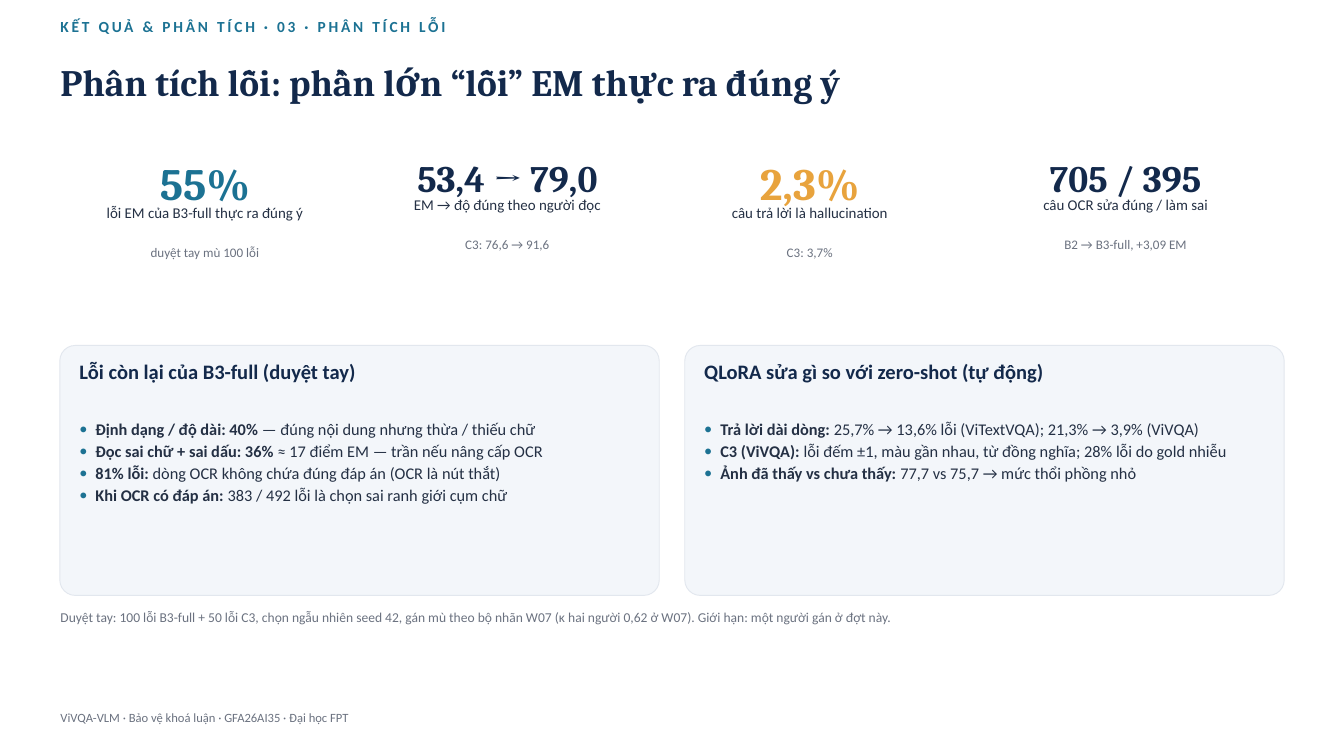
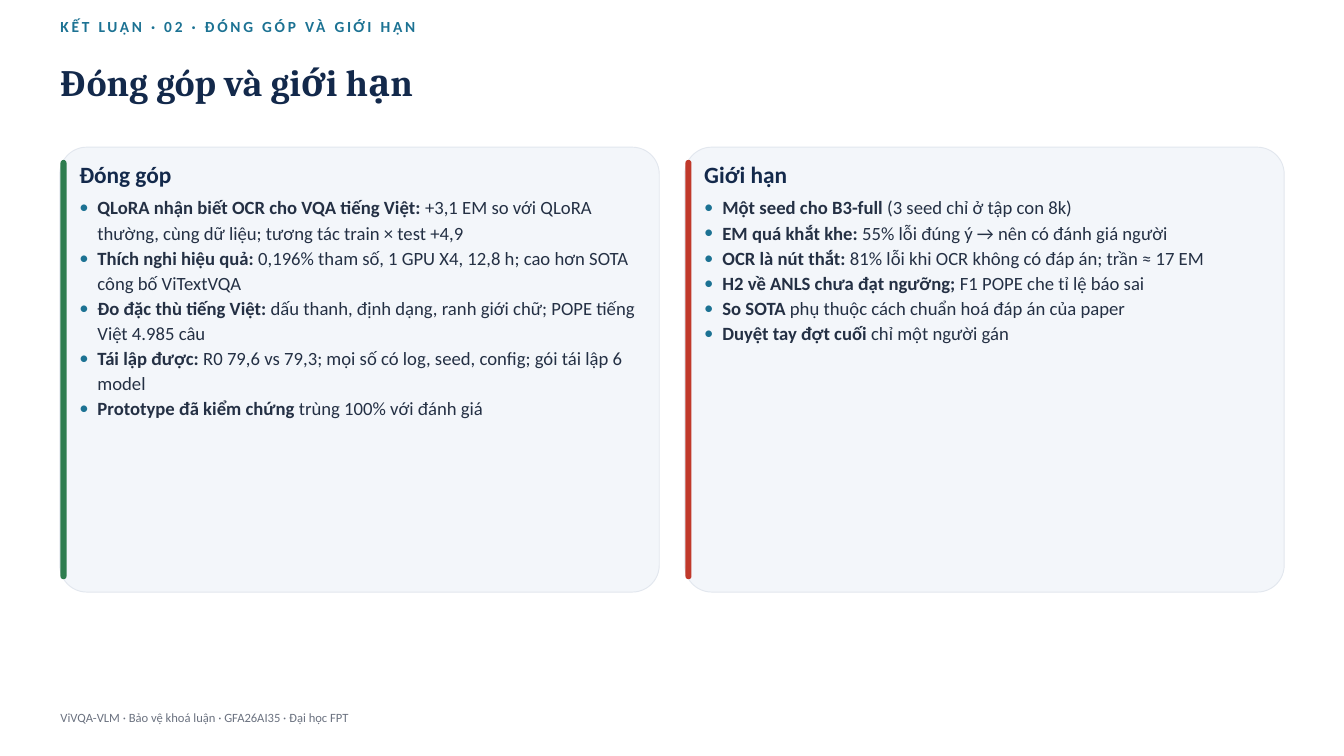
from lxml.etree import SubElement
from pptx import Presentation
from pptx.dml.color import RGBColor
from pptx.enum.shapes import MSO_SHAPE
from pptx.enum.text import MSO_AUTO_SIZE, PP_ALIGN
from pptx.oxml.ns import qn
from pptx.util import Inches, Pt

NAVY = RGBColor(0x13, 0x29, 0x4B)
TEAL = RGBColor(0x1C, 0x72, 0x93)
AMBER = RGBColor(0xE8, 0xA3, 0x3D)
INK = RGBColor(0x24, 0x30, 0x44)
GRAY = RGBColor(0x6B, 0x72, 0x80)
PALE = RGBColor(0xF3, 0xF6, 0xFA)
EDGE = RGBColor(0xE2, 0xE7, 0xEE)
GREEN = RGBColor(0x2E, 0x7D, 0x4F)
RED = RGBColor(0xC0, 0x39, 0x2B)
WHITE = RGBColor(0xFF, 0xFF, 0xFF)
SANS, SERIF = "Calibri", "Cambria"

LEFT, WIDE = 0.9, 18.2
PITCH = 9.3  # from one panel to the next
FOOT = "ViVQA-VLM · Bảo vệ khoá luận · GFA26AI35 · Đại học FPT"

# Slide 1: value, label, note, colour, size
STATS = [
    ("55%", "lỗi EM của B3-full thực ra đúng ý", "duyệt tay mù 100 lỗi", TEAL, 48),
    ("53,4 → 79,0", "EM → độ đúng theo người đọc", "C3: 76,6 → 91,6", NAVY, 40),
    ("2,3%", "câu trả lời là hallucination", "C3: 3,7%", AMBER, 48),
    ("705 / 395", "câu OCR sửa đúng / làm sai", "B2 → B3-full, +3,09 EM", NAVY, 40),
]
# Size: value top, value line, label top, note top
TIERS = {48: (2.22, 64.5, 3.02, 3.61), 40: (2.23, 53.8, 2.9, 3.49)}
NOTE = ("Duyệt tay: 100 lỗi B3-full + 50 lỗi C3, chọn ngẫu nhiên seed 42, gán mù theo "
        "bộ nhãn W07 (κ hai người 0,62 ở W07). Giới hạn: một người gán ở đợt này.")

# Panels: heading, bar colour, (bold lead, rest) items
ERRORS = [
    ("Lỗi còn lại của B3-full (duyệt tay)", None, [
        ("Định dạng / độ dài: 40%", " — đúng nội dung nhưng thừa / thiếu chữ"),
        ("Đọc sai chữ + sai dấu: 36%", " ≈ 17 điểm EM — trần nếu nâng cấp OCR"),
        ("81% lỗi: ", "dòng OCR không chứa đúng đáp án (OCR là nút thắt)"),
        ("Khi OCR có đáp án: ", "383 / 492 lỗi là chọn sai ranh giới cụm chữ"),
    ]),
    ("QLoRA sửa gì so với zero-shot (tự động)", None, [
        ("Trả lời dài dòng: ", "25,7% → 13,6% lỗi (ViTextVQA); 21,3% → 3,9% (ViVQA)"),
        ("C3 (ViVQA): ", "lỗi đếm ±1, màu gần nhau, từ đồng nghĩa; 28% lỗi do gold nhiễu"),
        ("Ảnh đã thấy vs chưa thấy: ", "77,7 vs 75,7 → mức thổi phồng nhỏ"),
    ]),
]
CLOSING = [
    ("Đóng góp", GREEN, [
        ("QLoRA nhận biết OCR cho VQA tiếng Việt: ",
         "+3,1 EM so với QLoRA thường, cùng dữ liệu; tương tác train × test +4,9"),
        ("Thích nghi hiệu quả: ",
         "0,196% tham số, 1 GPU X4, 12,8 h; cao hơn SOTA công bố ViTextVQA"),
        ("Đo đặc thù tiếng Việt: ",
         "dấu thanh, định dạng, ranh giới chữ; POPE tiếng Việt 4.985 câu"),
        ("Tái lập được: ",
         "R0 79,6 vs 79,3; mọi số có log, seed, config; gói tái lập 6 model"),
        ("Prototype đã kiểm chứng ", "trùng 100% với đánh giá"),
    ]),
    ("Giới hạn", RED, [
        ("Một seed cho B3-full ", "(3 seed chỉ ở tập con 8k)"),
        ("EM quá khắt khe: ", "55% lỗi đúng ý → nên có đánh giá người"),
        ("OCR là nút thắt: ", "81% lỗi khi OCR không có đáp án; trần ≈ 17 EM"),
        ("H2 về ANLS chưa đạt ngưỡng; ", "F1 POPE che tỉ lệ báo sai"),
        ("So SOTA ", "phụ thuộc cách chuẩn hoá đáp án của paper"),
        ("Duyệt tay đợt cuối ", "chỉ một người gán"),
    ]),
]
# Panel looks: top, height, radius; (top, height, size, line) of head and list
LOW = dict(top=5.14, high=3.72, round=0.23, indent=0.24,
           head=(5.29, 0.68, 22, 29.6), list=(6.2, 2.55, 17.5, 23.5))
TALL = dict(top=2.19, high=6.62, round=0.4, indent=0.27,
            head=(2.33, 0.69, 25, 33.6), list=(2.88, 5.82, 20, 26.9))


def frame(slide, x, y, w, h):
    box = slide.shapes.add_textbox(Inches(x), Inches(y), Inches(w), Inches(h))
    body = box.text_frame
    body.word_wrap = True
    body.auto_size = MSO_AUTO_SIZE.SHAPE_TO_FIT_TEXT
    body.margin_left = body.margin_right = body.margin_top = body.margin_bottom = 0
    return body


def style(para, size, line, color, bold=None, face=SANS):
    para.line_spacing = Pt(line)
    font = para.font
    font.name, font.size, font.bold = face, Pt(size), bold
    font.color.rgb = color


def write(slide, text, area, size, line, color, bold=None, face=SANS, align=None):
    para = frame(slide, *area).paragraphs[0]
    run = para.add_run()
    run.text = text
    para.alignment = align
    style(para, size, line, color, bold, face)
    return run


def bullet(para, indent):
    props = para._p.get_or_add_pPr()
    props.set("marL", str(Inches(indent)))
    props.set("indent", str(-Inches(indent)))
    tint = SubElement(props, qn("a:buClr"))
    SubElement(tint, qn("a:srgbClr"), val=str(TEAL))
    SubElement(props, qn("a:buFont"), typeface=SANS)
    SubElement(props, qn("a:buChar"), char="•")


def block(slide, x, y, w, h, radius, fill, edge=None):
    shape = slide.shapes.add_shape(
        MSO_SHAPE.ROUNDED_RECTANGLE, Inches(x), Inches(y), Inches(w), Inches(h))
    shape.adjustments[0] = radius / min(w, h)
    shape.shadow.inherit = False
    shape.fill.solid()
    shape.fill.fore_color.rgb = fill
    if edge is None:
        shape.line.fill.background()
    else:
        shape.line.color.rgb = edge
        shape.line.width = Pt(1)


def panels(slide, items, look):
    for i, (head, bar, points) in enumerate(items):
        x = LEFT + i * PITCH
        top, high = look["top"], look["high"]
        block(slide, x - 0.01, top, 8.92, high, look["round"], PALE, EDGE)
        if bar is not None:
            block(slide, x, top + 0.19, 0.09, high - 0.38, 0.045, bar)

        y, h, size, line = look["head"]
        write(slide, head, (x + 0.28, y, 8.34, h), size, line, NAVY, True)

        y, h, size, line = look["list"]
        body = frame(slide, x + 0.28, y, 8.34, h)
        for n, (lead, rest) in enumerate(points):
            para = body.add_paragraph() if n else body.paragraphs[0]
            bullet(para, look["indent"])
            for text, bold in ((lead, True), (rest, False)):
                run = para.add_run()
                run.text, run.font.bold = text, bold
            style(para, size, line, INK)


def page(deck, kicker, title):
    slide = deck.slides.add_slide(deck.slide_layouts[6])
    slide.background.fill.solid()
    slide.background.fill.fore_color.rgb = WHITE
    run = write(slide, kicker, (LEFT, 0.26, WIDE, 0.67), 16.5, 19.8, TEAL, True)
    run._r.get_or_add_rPr().set("spc", "300")
    write(slide, title, (LEFT, 0.75, WIDE, 1.23), 40, 57.6, NAVY, True, SERIF)
    write(slide, FOOT, (LEFT, 10.53, 15, 0.45), 13.5, 18.1, GRAY)
    return slide


def stats(slide):
    mid = PP_ALIGN.CENTER
    for i, (value, label, note, color, size) in enumerate(STATS):
        x = LEFT + i * 4.5
        w = 4.7 if i == len(STATS) - 1 else 4.3
        top, line, low, base = TIERS[size]
        write(slide, value, (x, top, w, 0.98), size, line, color, True, SERIF, mid)
        write(slide, label, (x, low, w, 0.84), 16, 20.1, INK, align=mid)
        write(slide, note, (x, base, w, 0.65), 14, 18.8, GRAY, align=mid)


def main():
    deck = Presentation()
    deck.slide_width, deck.slide_height = Inches(20), Inches(11.25)

    # Error analysis
    slide = page(deck, "KẾT QUẢ & PHÂN TÍCH · 03 · PHÂN TÍCH LỖI",
                 "Phân tích lỗi: phần lớn “lỗi” EM thực ra đúng ý")
    stats(slide)
    panels(slide, ERRORS, LOW)
    write(slide, NOTE, (LEFT, 9.04, WIDE, 0.86), 14.5, 19.5, GRAY)

    # Contributions and limits
    slide = page(deck, "KẾT LUẬN · 02 · ĐÓNG GÓP VÀ GIỚI HẠN", "Đóng góp và giới hạn")
    panels(slide, CLOSING, TALL)

    deck.save("out.pptx")


if __name__ == "__main__":
    main()
